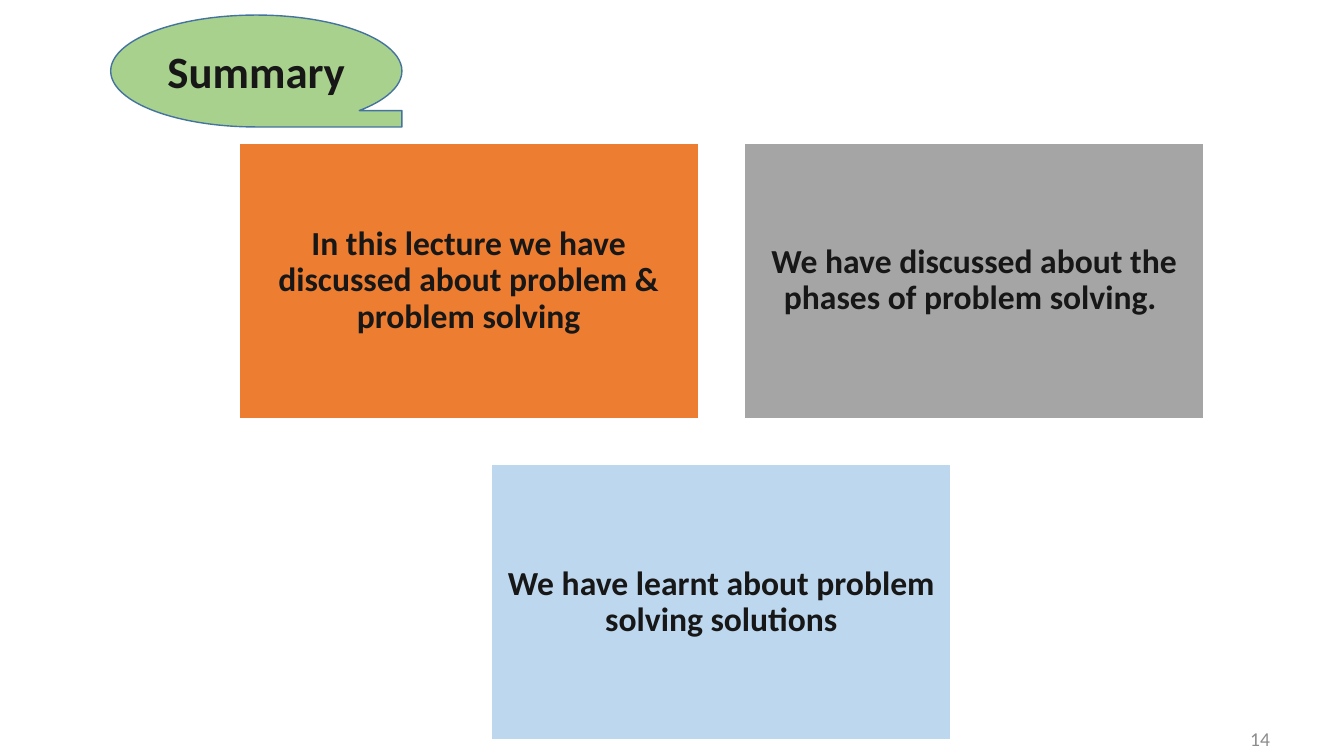
from dataclasses import dataclass

from pptx import Presentation
from pptx.dml.color import RGBColor
from pptx.enum.shapes import MSO_SHAPE
from pptx.enum.text import MSO_ANCHOR, MSO_AUTO_SIZE, PP_ALIGN
from pptx.shapes.autoshape import Shape
from pptx.slide import Slide
from pptx.util import Cm, Pt

DARK = "181717"
CARD_WIDTH, CARD_HEIGHT, CARD_GAP = 11.58, 6.94, 1.16
CARDS_LEFT, CARDS_TOP, COLUMNS = 6.02, 3.61, 2


@dataclass
class Box:
    left: float
    top: float
    width: float
    height: float

    def lengths(self) -> tuple:
        return Cm(self.left), Cm(self.top), Cm(self.width), Cm(self.height)


@dataclass
class Card:
    text: str
    fill: str


TITLE_BOX = Box(2.79, 0.38, 7.34, 2.82)
NUMBER_BOX = Box(26.57, 18.54, 5.69, 0.13)
CARDS = [
    Card("In this lecture we have discussed about problem & problem solving", "ED7D31"),
    Card("We have discussed about the phases of problem solving. ", "A5A5A5"),
    Card("We have learnt about problem solving solutions", "BDD7EE"),
]


def color(value: str) -> RGBColor:
    return RGBColor.from_string(value)


def set_attributes(target: object, values: dict) -> None:
    for name, value in values.items():
        setattr(target, name, value)


def write_text(shape: Shape, text: str, size: int, font_color: str = DARK,
               bold: bool = True, alignment: PP_ALIGN = PP_ALIGN.CENTER,
               line_spacing: float = 1.0, margin: float = 0.25) -> None:
    frame = shape.text_frame
    frame.text = text
    set_attributes(frame, {
        "word_wrap": True,
        "auto_size": MSO_AUTO_SIZE.NONE,
        "vertical_anchor": MSO_ANCHOR.MIDDLE,
        "margin_left": Cm(margin),
        "margin_right": Cm(margin),
    })
    paragraph = frame.paragraphs[0]
    set_attributes(paragraph, {"alignment": alignment, "line_spacing": line_spacing})
    font = paragraph.runs[0].font
    set_attributes(font, {"name": "Calibri", "size": Pt(size), "bold": bold})
    font.color.rgb = color(font_color)


def add_filled_shape(slide: Slide, kind: MSO_SHAPE, box: Box, fill: str, line: str) -> Shape:
    shape = slide.shapes.add_shape(kind, *box.lengths())
    shape.shadow.inherit = False
    shape.fill.solid()
    shape.fill.fore_color.rgb = color(fill)
    shape.line.color.rgb = color(line)
    shape.line.width = Pt(1)
    return shape


def add_title(slide: Slide) -> None:
    """Place the title placeholder in front of the tape shape."""
    tape = add_filled_shape(slide, MSO_SHAPE.FLOWCHART_SEQUENTIAL_ACCESS_STORAGE,
                            TITLE_BOX, "A9D18E", "43739E")
    title = slide.shapes.title
    left, top, width, height = TITLE_BOX.lengths()
    set_attributes(title, {"left": left, "top": top, "width": width, "height": height})
    write_text(title, "Summary", 32)
    tape._element.addnext(title._element)


def add_cards(slide: Slide) -> None:
    """Fill rows of cards, centring a row that is not full."""
    for index, card in enumerate(CARDS):
        row, column = divmod(index, COLUMNS)
        in_row = min(COLUMNS, len(CARDS) - row * COLUMNS)
        position = column + (COLUMNS - in_row) / 2
        box = Box(CARDS_LEFT + position * (CARD_WIDTH + CARD_GAP),
                  CARDS_TOP + row * (CARD_HEIGHT + CARD_GAP),
                  CARD_WIDTH, CARD_HEIGHT)
        shape = add_filled_shape(slide, MSO_SHAPE.RECTANGLE, box, card.fill, "FFFFFF")
        write_text(shape, card.text, 24, line_spacing=0.9)


def add_slide_number(slide: Slide) -> None:
    number = slide.shapes.add_textbox(*NUMBER_BOX.lengths())
    write_text(number, "14", 14, "8C8C8C", bold=False, alignment=PP_ALIGN.RIGHT)


def main() -> None:
    presentation = Presentation()
    presentation.slide_width = Cm(33.87)
    presentation.slide_height = Cm(19.05)
    slide = presentation.slides.add_slide(presentation.slide_layouts[5])
    add_slide_number(slide)
    add_title(slide)
    add_cards(slide)
    presentation.save("out.pptx")


if __name__ == "__main__":
    main()
